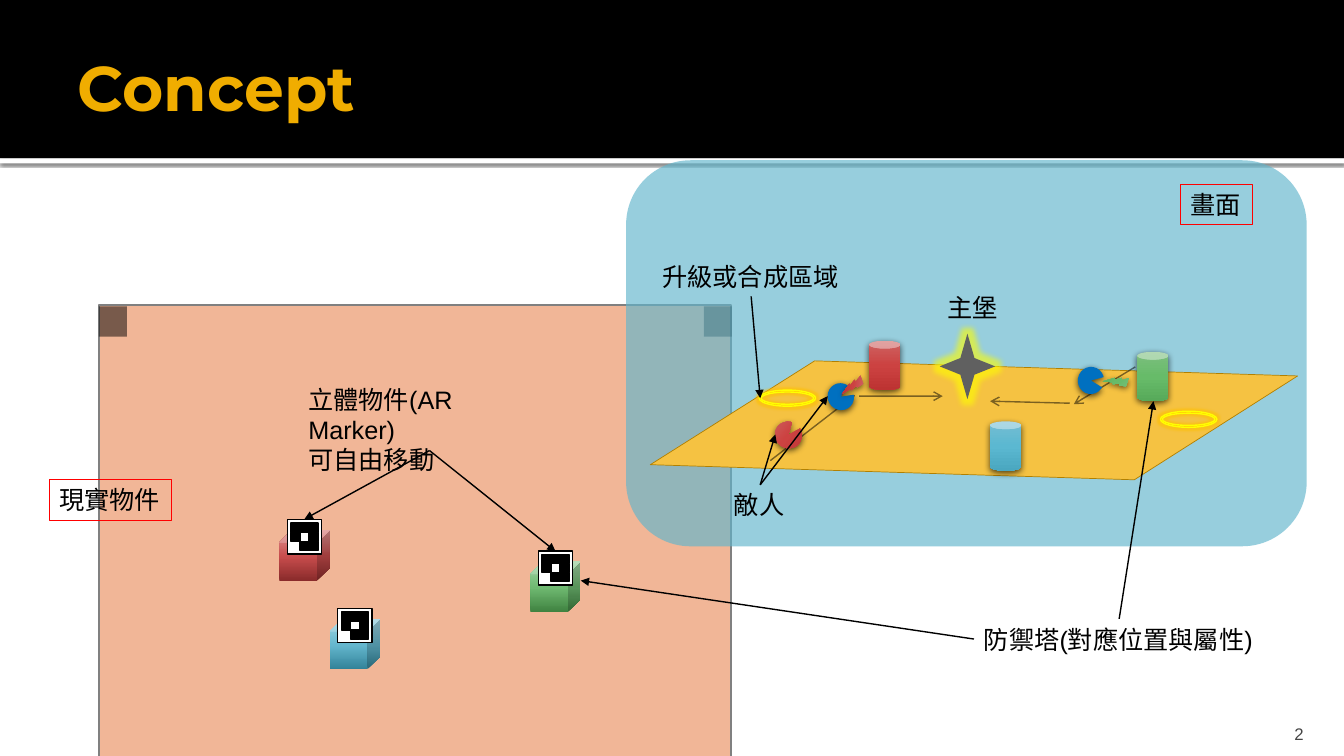
import pptx
import pptx.util
import pptx.oxml
import pptx.oxml.ns
from pptx.dml.color import RGBColor
from pptx.enum.shapes import MSO_CONNECTOR, MSO_SHAPE
from pptx.enum.text import MSO_ANCHOR, PP_ALIGN

BLACK = RGBColor(0x00, 0x00, 0x00)
WHITE = RGBColor(0xFF, 0xFF, 0xFF)
TITLE_GOLD = RGBColor(0xF0, 0xAD, 0x00)
NUMBER_GRAY = RGBColor(0x45, 0x45, 0x45)
TABLE_PEACH = RGBColor(0xF1, 0xB6, 0x97)
EDGE_GRAY = RGBColor(0x80, 0x80, 0x80)
SCREEN_BLUE = RGBColor(0x60, 0xB5, 0xCC)
FIELD_GOLD = RGBColor(0xF5, 0xC2, 0x42)
FIELD_EDGE = RGBColor(0xB2, 0x80, 0x00)
ZONE_GOLD = RGBColor(0xFF, 0xC0, 0x00)
ZONE_YELLOW = RGBColor(0xFF, 0xFF, 0x00)
CASTLE_GRAY = RGBColor(0x60, 0x60, 0x60)
ENEMY_BLUE = RGBColor(0x00, 0x70, 0xC0)
LABEL_RED = RGBColor(0xFF, 0x00, 0x00)

RED_TOWER = ((0, RGBColor(0xCD, 0x64, 0x63)), (50, RGBColor(0xCC, 0x42, 0x41)), (100, RGBColor(0xBD, 0x33, 0x32)))
GREEN_TOWER = ((0, RGBColor(0x7D, 0xBF, 0x7F)), (50, RGBColor(0x67, 0xBB, 0x69)), (100, RGBColor(0x57, 0xAA, 0x5A)))
BLUE_TOWER = ((0, RGBColor(0x75, 0xBD, 0xD2)), (50, RGBColor(0x5B, 0xB8, 0xD1)), (100, RGBColor(0x4A, 0xA7, 0xC0)))
RED_CUBE = ((0, RGBColor(0x8A, 0x2B, 0x2B)), (48, RGBColor(0xC8, 0x4D, 0x4D)), (100, RGBColor(0xDD, 0x91, 0x91)))
GREEN_CUBE = ((0, RGBColor(0x40, 0x83, 0x41)), (48, RGBColor(0x6F, 0xB9, 0x71)), (100, RGBColor(0xA6, 0xD4, 0xA7)))
BLUE_CUBE = ((0, RGBColor(0x31, 0x82, 0x98)), (48, RGBColor(0x65, 0xB7, 0xCE)), (100, RGBColor(0xA0, 0xD3, 0xE0)))

MARKER_CELLS = ((0, 0), (1, 0), (2, 0), (0, 1), (2, 1), (2, 2), (1, 2))
DEEP_SHADOW = (63, 4.5, 1.5)
NAMESPACE = pptx.oxml.ns.nsdecls("a")


def element(markup):
    tag, rest = markup[1:].split(" ", 1)
    return pptx.oxml.parse_xml(f"<{tag} {NAMESPACE} {rest}")


def set_alpha(properties, share):
    for color in properties.iter(pptx.oxml.ns.qn("a:srgbClr")):
        color.append(element(f'<a:alpha val="{share * 1000}"/>'))


class ConceptSlide:
    font = "Arial"
    label_size = 18
    cell = pptx.util.Inches(0.1)

    def __init__(self, presentation):
        self.slide = presentation.slides.add_slide(presentation.slide_layouts[6])
        self.shapes = self.slide.shapes

    def grid(self, *cells):
        return [round(count * self.cell) for count in cells]

    def style(self, shape, fill=None, line=None, width=1, alpha=None, angle=90, shadow=None, glow=None):
        properties = shape._element.spPr
        shape.shadow.inherit = False
        if fill is None:
            shape.fill.background()
        else:
            shape.fill.solid()
            shape.fill.fore_color.rgb = fill[0][1] if isinstance(fill, tuple) and len(fill[0:1]) and isinstance(fill[0], tuple) else fill
        if alpha:
            set_alpha(properties, alpha)
        if isinstance(fill, tuple) and not isinstance(fill, RGBColor):
            stops = "".join(f'<a:gs pos="{place * 1000}"><a:srgbClr val="{color}"/></a:gs>' for place, color in fill)
            gradient = element(f'<a:gradFill rotWithShape="1"><a:gsLst>{stops}</a:gsLst>'
                               f'<a:lin ang="{angle * 60000}" scaled="0"/></a:gradFill>')
            solid = properties.find(pptx.oxml.ns.qn("a:solidFill"))
            properties.replace(solid, gradient)
        if line is None:
            shape.line.fill.background()
        else:
            shape.line.color.rgb = line
            shape.line.width = pptx.util.Pt(width)
        effects = properties.find(pptx.oxml.ns.qn("a:effectLst"))
        if glow:
            radius, color = glow
            effects.append(element(f'<a:glow rad="{pptx.util.Pt(radius)}"><a:srgbClr val="{color}">'
                                   '<a:alpha val="60000"/></a:srgbClr></a:glow>'))
        if shadow:
            opacity, blur, distance = shadow
            effects.append(element(f'<a:outerShdw blurRad="{pptx.util.Pt(blur)}" dist="{pptx.util.Pt(distance)}" '
                                   'dir="5400000" rotWithShape="0"><a:srgbClr val="000000">'
                                   f'<a:alpha val="{opacity * 1000}"/></a:srgbClr></a:outerShdw>'))
        return shape

    def shape(self, kind, box, fill=None, adjust=(), rotation=0, **style):
        shape = self.shapes.add_shape(kind, *self.grid(*box))
        for index, value in enumerate(adjust):
            shape.adjustments[index] = value
        shape.rotation = rotation
        return self.style(shape, fill, **style)

    def polygon(self, points, fill, **style):
        corners = [self.grid(*point) for point in points]
        builder = self.shapes.build_freeform(*corners[0], scale=1.0)
        builder.add_line_segments(corners[1:], close=True)
        return self.style(builder.convert_to_shape(), fill, **style)

    def text(self, box, words, size=None, font=None, color=BLACK, bold=False, wrap=False,
             align=PP_ALIGN.LEFT, anchor=MSO_ANCHOR.TOP, border=None, fill=None):
        if border or fill:
            shape = self.shape(MSO_SHAPE.RECTANGLE, box, fill, line=border, width=0.75)
        else:
            shape = self.shapes.add_textbox(*self.grid(*box))
        frame = shape.text_frame
        frame.text = words
        frame.word_wrap = wrap
        frame.vertical_anchor = anchor
        for paragraph in frame.paragraphs:
            paragraph.alignment = align
            for run in paragraph.runs:
                run.font.name = font or self.font
                run.font.size = pptx.util.Pt(size or self.label_size)
                run.font.bold = bold
                run.font.color.rgb = color
        return shape

    def arrow(self, start, end, head="triangle", alpha=None):
        connector = self.shapes.add_connector(MSO_CONNECTOR.STRAIGHT, *self.grid(*start, *end))
        connector.line.color.rgb = BLACK
        connector.line.width = pptx.util.Pt(1)
        properties = connector._element.spPr
        if alpha:
            set_alpha(properties, alpha)
        outline = properties.find(pptx.oxml.ns.qn("a:ln"))
        outline.append(element(f'<a:tailEnd type="{head}"/>'))
        properties.append(element('<a:effectLst />'))

    def marker_cube(self, left, top, gradient):
        self.shape(MSO_SHAPE.CUBE, (left, top, 5, 5), gradient, angle=270)
        self.shape(MSO_SHAPE.RECTANGLE, (left + 0.8, top - 1.05, 3.4, 3.4), WHITE, line=BLACK)
        for column, row in MARKER_CELLS:
            cell = (left + 1.15 + 0.9 * column, top - 0.7 + 0.9 * row, 0.9, 0.9)
            self.shape(MSO_SHAPE.RECTANGLE, cell, BLACK, line=BLACK)


presentation = pptx.Presentation()
presentation.slide_width = pptx.util.Inches(13.33)
presentation.slide_height = pptx.util.Inches(7.5)
concept = ConceptSlide(presentation)

concept.shape(MSO_SHAPE.RECTANGLE, (0, 15.7, 133.3, 0.5), WHITE, shadow=(60, 2.5, 0.8))
concept.shape(MSO_SHAPE.RECTANGLE, (0, 0, 133.3, 15.7), BLACK)
concept.text((6.7, 1.7, 120, 13.7), "Concept", 45, "Montserrat", TITLE_GOLD, True, True, anchor=MSO_ANCHOR.MIDDLE)
number = concept.text((119.6, 70.8, 10.7, 3), "2", 12, color=NUMBER_GRAY, wrap=True,
                      align=PP_ALIGN.RIGHT, anchor=MSO_ANCHOR.BOTTOM)
number.text_frame.margin_bottom = 0

concept.shape(MSO_SHAPE.RECTANGLE, (9.8, 30.3, 62.7, 60.5), TABLE_PEACH, line=EDGE_GRAY, width=1.5)
for corner_left in (9.8, 69.8):
    concept.shape(MSO_SHAPE.RECTANGLE, (corner_left, 30.4, 2.8, 3), BLACK, alpha=50)
concept.shape(MSO_SHAPE.ROUNDED_RECTANGLE, (62.1, 15.9, 67.5, 38.3), SCREEN_BLUE, alpha=65)

for left, top, gradient in ((27.7, 52.6, RED_CUBE), (52.6, 55.7, GREEN_CUBE), (32.7, 61.4, BLUE_CUBE)):
    concept.marker_cube(left, top, gradient)

concept.polygon(((64.5, 46.1), (80.8, 35.8), (128.7, 37.3), (112.5, 47.6)), FIELD_GOLD, line=FIELD_EDGE, width=0.5)
concept.shape(MSO_SHAPE.STAR_4_POINT, (93.2, 33.1, 5.5, 6.5), CASTLE_GRAY, adjust=(0.18,), glow=(8, ZONE_YELLOW))
for start, end in (((76.4, 45.7), (84.8, 39.2)), ((85.2, 39.3), (93.5, 39.3)),
                   ((106.1, 40), (98.2, 39.8)), ((112.6, 36.4), (106.5, 40.1))):
    concept.arrow(start, end, "arrow", 50)
for left, top in ((75.3, 38.7), (115.1, 40.8)):
    concept.shape(MSO_SHAPE.DONUT, (left, top, 5.6, 1.6), ZONE_GOLD, adjust=(0.12,), line=ZONE_YELLOW,
                  glow=(3, ZONE_GOLD))

for left, top, fill, rotation in ((76.9, 41.8, RED_TOWER, -50), (106.9, 36.4, ENEMY_BLUE, 10),
                                  (82.1, 38, ENEMY_BLUE, -30)):
    concept.shape(MSO_SHAPE.PIE, (left, top, 2.6, 2.7), fill, (12.99, 201.25), rotation, shadow=DEEP_SHADOW)
for left, top, fill, rotation in ((109.8, 36.8, GREEN_TOWER, 133.8), (83.6, 37.2, RED_TOWER, 95.6)):
    concept.shape(MSO_SHAPE.LIGHTNING_BOLT, (left, top, 2, 2), fill, rotation=rotation, shadow=DEEP_SHADOW)

concept.text((117.1, 18.3, 7.1, 4), "畫面", border=LABEL_RED)
concept.text((4.9, 47.6, 12.1, 4), "現實物件", border=LABEL_RED)
concept.text((96.6, 61.4, 28.9, 4), "防禦塔(對應位置與屬性)", wrap=True, fill=WHITE)
concept.text((93, 28.5, 7.1, 4), "主堡")
concept.text((71.8, 48.1, 7.1, 4), "敵人")
concept.text((29.6, 37.6, 23.5, 7.1), "立體物件(AR Marker)\n可自由移動", wrap=True)
concept.text((64.7, 25.4, 19.7, 4), "升級或合成區域")

for start, end in (((42.6, 44.7), (30.2, 51.5)), ((42.6, 44.7), (55.1, 54.7)),
                   ((96.6, 63.4), (57.6, 57.6)), ((111, 61.4), (114.4, 39.8)),
                   ((75.4, 48.1), (76.9, 43.1)), ((75.4, 48.1), (82.1, 39.3)),
                   ((74.5, 29.4), (75.4, 39.5))):
    concept.arrow(start, end)

for left, top, gradient in ((112.8, 34.9, GREEN_TOWER), (98.2, 41.8, BLUE_TOWER), (86.2, 33.8, RED_TOWER)):
    concept.shape(MSO_SHAPE.CAN, (left, top, 3.1, 4.9), gradient, shadow=DEEP_SHADOW)

presentation.save("out.pptx")
